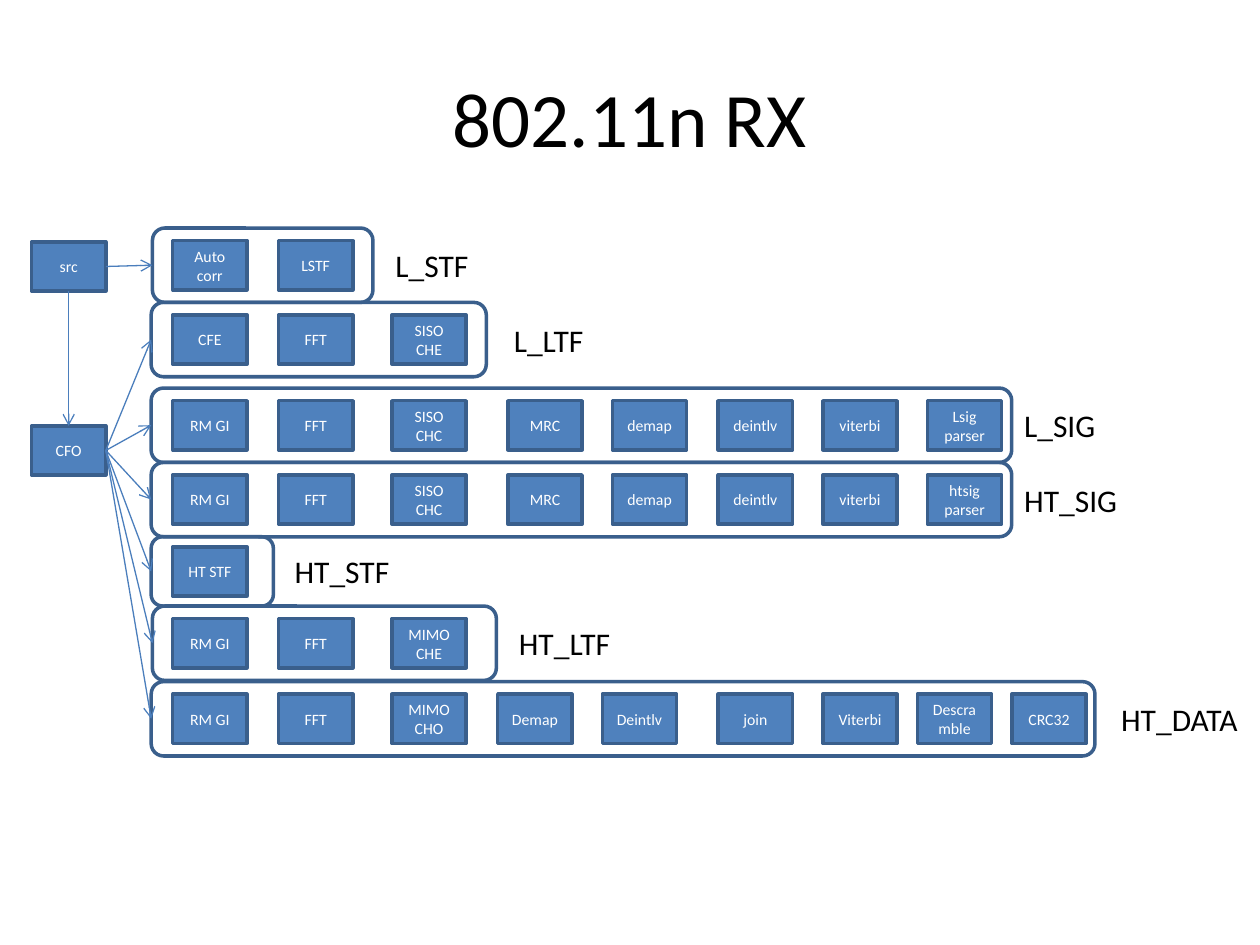
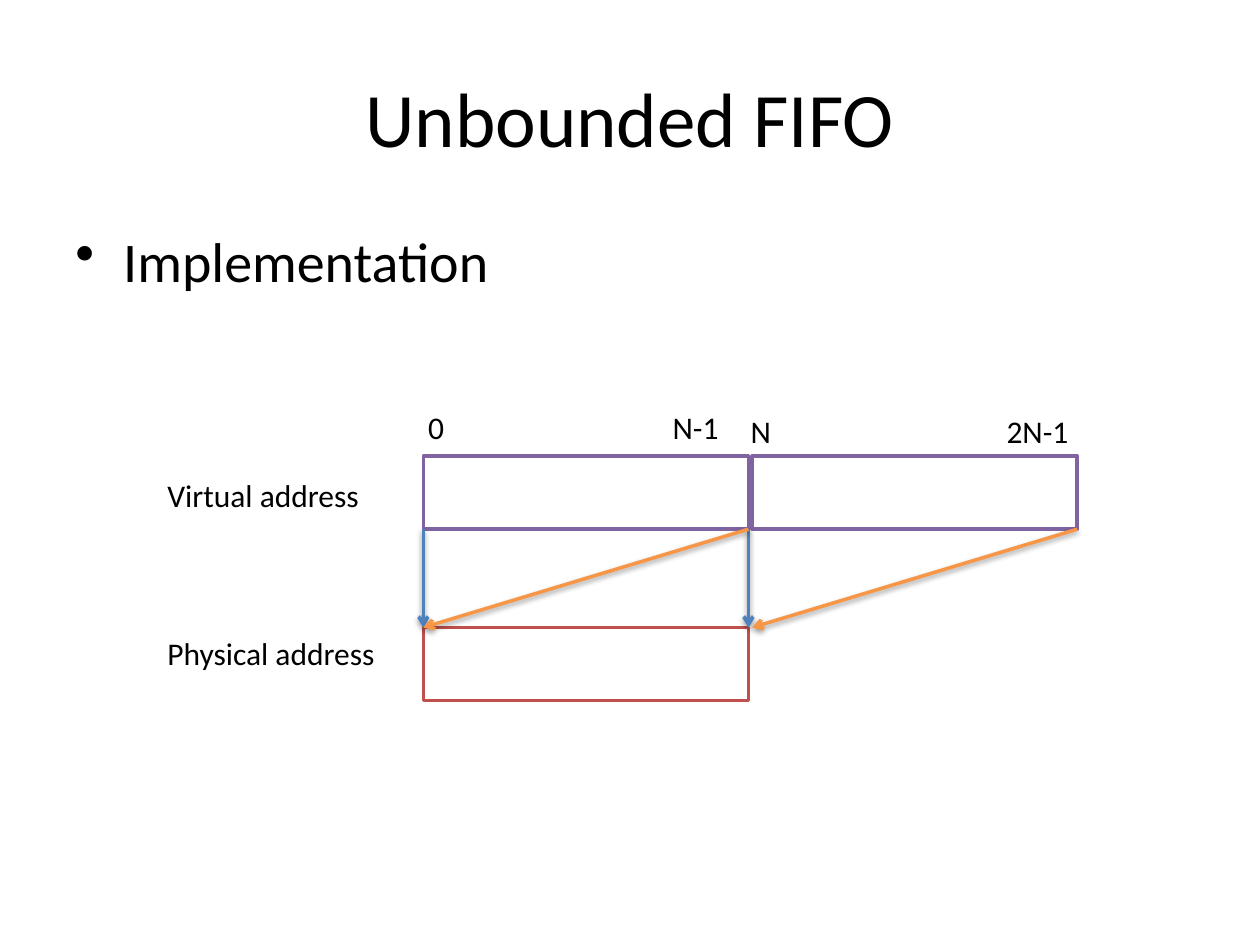
import lxml.etree
import pptx
import pptx.dml.color
import pptx.enum.shapes
import pptx.enum.text
import pptx.oxml
import pptx.oxml.ns
import pptx.util


class Theme:
    font = "Calibri"
    black = "000000"
    white = "FFFFFF"
    block_fill = "4F81BD"
    block_line = "3A5F8C"
    flow_line = "4B7EBC"
    virtual_line = "8064A2"
    physical_line = "C0504D"
    start_line = "4F81BD"
    end_line = "F79646"
    title_size = 44
    body_size = 32
    label_size = 18
    block_size = 9
    outline = 2
    flow_width = 0.75


SHAPE = pptx.enum.shapes.MSO_SHAPE
ALIGN = pptx.enum.text.PP_ALIGN
ANCHOR = pptx.enum.text.MSO_ANCHOR
AUTO_SIZE = pptx.enum.text.MSO_AUTO_SIZE
color = pptx.dml.color.RGBColor.from_string

presentation = pptx.Presentation()
presentation.slide_width = pptx.util.Inches(10)
presentation.slide_height = pptx.util.Inches(7.5)
COLUMN = presentation.slide_width / 100
ROW = presentation.slide_height / 75


def add_box(shapes, place, text="", size=Theme.label_size, text_color=Theme.black,
            kind=None, fill=None, line=None, centered=False, grow=False):
    left, top, width, height = place
    frame = [round(left * COLUMN), round(top * ROW), round(width * COLUMN), round(height * ROW)]
    if kind is None:
        shape = shapes.add_textbox(*frame)
    else:
        shape = shapes.add_shape(kind, *frame)
        shape.shadow.inherit = False
        shape.line.color.rgb = color(line)
        shape.line.width = pptx.util.Pt(Theme.outline)
        if fill:
            shape.fill.solid()
            shape.fill.fore_color.rgb = color(fill)
        else:
            shape.fill.background()
    if text:
        text_frame = shape.text_frame
        text_frame.text = text
        text_frame.word_wrap = not grow
        text_frame.auto_size = AUTO_SIZE.SHAPE_TO_FIT_TEXT if grow else AUTO_SIZE.NONE
        text_frame.vertical_anchor = ANCHOR.MIDDLE if centered else ANCHOR.TOP
        for paragraph in text_frame.paragraphs:
            paragraph.alignment = ALIGN.CENTER if centered else ALIGN.LEFT
            paragraph.font.name = Theme.font
            paragraph.font.size = pptx.util.Pt(size)
            paragraph.font.color.rgb = color(text_color)
    return shape


def add_arrow(shapes, line, width, start=(0, 0), end=(0, 0), shadow=False):
    connector = shapes.add_connector(
        pptx.enum.shapes.MSO_CONNECTOR.STRAIGHT,
        round(start[0] * COLUMN), round(start[1] * ROW),
        round(end[0] * COLUMN), round(end[1] * ROW))
    connector.line.color.rgb = color(line)
    connector.line.width = pptx.util.Pt(width)
    qualified = pptx.oxml.ns.qn
    lxml.etree.SubElement(connector.line._get_or_add_ln(), qualified("a:tailEnd"), type="arrow")
    effects = lxml.etree.SubElement(connector._element.spPr, qualified("a:effectLst"))
    if shadow:
        outer = lxml.etree.SubElement(effects, qualified("a:outerShdw"), blurRad="40000",
                                      dist="20000", dir="5400000", rotWithShape="0")
        shade = lxml.etree.SubElement(outer, qualified("a:srgbClr"), val=Theme.black)
        lxml.etree.SubElement(shade, qualified("a:alpha"), val="38000")
    return connector


slides = []
for title in ("802.11n RX", "Unbounded FIFO"):
    slide = presentation.slides.add_slide(presentation.slide_layouts[6])
    add_box(slide.shapes, (5, 3, 90, 12.5), title, Theme.title_size, centered=True)
    slides.append(slide)
receiver, fifo = slides

BLOCK_WIDTH, BLOCK_HEIGHT = 5.9, 3.9
LABEL_HEIGHT = 4
block_style = dict(size=Theme.block_size, text_color=Theme.white, kind=SHAPE.RECTANGLE,
                   fill=Theme.block_fill, line=Theme.block_line, centered=True)
source, offset = [
    add_box(receiver.shapes, (2.5, top, BLOCK_WIDTH, BLOCK_HEIGHT), name, **block_style)
    for name, top in (("src", 19.2), ("CFO", 33.8))]

stage_columns = [13.7, 22.1, 31.1, 40.3, 48.6, 57, 65.3, 73.6]
data_columns = stage_columns[:3] + [39.5, 47.8, 57, 65.3, 72.8, 80.3]
signal_stages = ["RM GI", "FFT", "SISO\nCHC", "MRC", "demap", "deintlv", "viterbi"]
lanes = [
    ("L_STF", (12.1, 18.1, 17.5, 5.9), 30.4, 7.9, ["Auto corr", "LSTF"]),
    ("L_LTF", (12, 24, 26.6, 5.9), 39.8, 7.6, ["CFE", "FFT", "SISO\nCHE"]),
    ("L_SIG", (12, 30.8, 68.3, 5.9), 80.3, 7.7, signal_stages + ["Lsig\nparser"]),
    ("HT_SIG", (12, 36.7, 68.3, 5.9), 80.3, 9.5, signal_stages + ["htsig\nparser"]),
    ("HT_STF", (12, 42.6, 9.7, 5.5), 22.4, 9.6, ["HT STF"]),
    ("HT_LTF", (12.1, 48.1, 27.3, 5.9), 40.2, 9.4, ["RM GI", "FFT", "MIMO\nCHE"]),
    ("HT_DATA", (12, 54.1, 74.9, 5.9), 88, 11.4,
     ["RM GI", "FFT", "MIMO\nCHO", "Demap", "Deintlv", "join", "Viterbi", "Descramble", "CRC32"]),
]
links = [(source, 2, offset, 0)]
for name, place, label_left, label_width, stages in lanes:
    middle = place[1] + place[3] / 2
    columns = data_columns if name == "HT_DATA" else stage_columns
    for stage, left in zip(stages, columns):
        add_box(receiver.shapes, (left, middle - BLOCK_HEIGHT / 2, BLOCK_WIDTH, BLOCK_HEIGHT),
                stage, **block_style)
    lane = add_box(receiver.shapes, place, kind=SHAPE.ROUNDED_RECTANGLE, line=Theme.block_line)
    add_box(receiver.shapes, (label_left, middle - LABEL_HEIGHT / 2, label_width, LABEL_HEIGHT),
            name, grow=True)
    links.append((source if name == "L_STF" else offset, 3, lane, 1))

for begin, begin_side, end, end_side in links:
    arrow = add_arrow(receiver.shapes, Theme.flow_line, Theme.flow_width)
    arrow.begin_connect(begin, begin_side)
    arrow.end_connect(end, end_side)

body = add_box(fifo.shapes, (5, 17.5, 90, 49.5), "Implementation", Theme.body_size)
properties = body.text_frame.paragraphs[0]._p.get_or_add_pPr()
indent = pptx.util.Inches(0.38)
properties.set("marL", str(indent))
properties.set("indent", str(-indent))
bullet = pptx.oxml.parse_xml(
    f'<a:buChar {pptx.oxml.ns.nsdecls("a")} char="•"/>')
properties.insert(0, bullet)

diagram = fifo.shapes.add_group_shape().shapes
BUFFER_WIDTH, BUFFER_HEIGHT = 25.8, 5.8
FIRST, SECOND = 33.6, 59.7
VIRTUAL, PHYSICAL = 36.2, 49.8
for left, top, line in ((FIRST, VIRTUAL, Theme.virtual_line),
                        (SECOND, VIRTUAL, Theme.virtual_line),
                        (FIRST, PHYSICAL, Theme.physical_line)):
    add_box(diagram, (left, top, BUFFER_WIDTH, BUFFER_HEIGHT),
            kind=SHAPE.RECTANGLE, fill=Theme.white, line=line)

for text, left, top, width in (
        ("0", 33, 31.9, 3.3), ("N-1", 52.4, 31.9, 5.7),
        ("N", 58.6, 32.2, 3.6), ("2N-1", 78.9, 32.2, 7),
        ("Virtual address", 12.3, 37.3, 17.4), ("Physical address", 12.3, 49.8, 18.6)):
    add_box(diagram, (left, top, width, LABEL_HEIGHT), text, grow=True)

boundary = FIRST + BUFFER_WIDTH
for start, end, line in ((FIRST, FIRST, Theme.start_line),
                         (boundary, boundary, Theme.start_line),
                         (boundary, FIRST, Theme.end_line),
                         (SECOND + BUFFER_WIDTH, SECOND, Theme.end_line)):
    add_arrow(diagram, line, Theme.outline, (start, VIRTUAL + BUFFER_HEIGHT),
              (end, PHYSICAL), shadow=True)

presentation.save("out.pptx")
